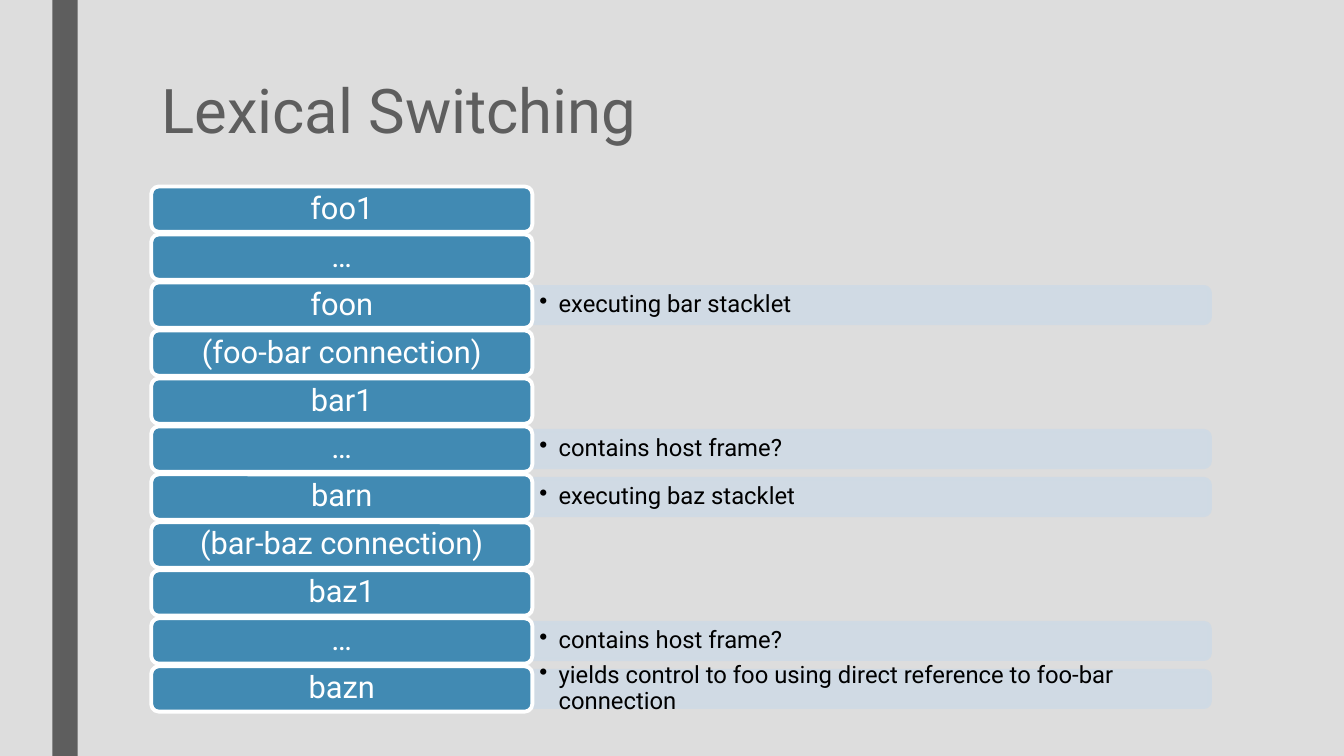
"""Build the Lexical Switching slide: a stack of frames with notes beside them."""
from lxml import etree
from pptx import Presentation
from pptx.dml.color import RGBColor
from pptx.enum.shapes import MSO_SHAPE
from pptx.enum.text import MSO_ANCHOR, MSO_AUTO_SIZE, PP_ALIGN
from pptx.oxml.ns import qn
from pptx.util import Inches, Pt

RECT, ROUND = MSO_SHAPE.RECTANGLE, MSO_SHAPE.ROUNDED_RECTANGLE
ROUND_TOP = MSO_SHAPE.ROUND_2_SAME_RECTANGLE
TOP, MIDDLE = MSO_ANCHOR.TOP, MSO_ANCHOR.MIDDLE
LEFT, CENTER = PP_ALIGN.LEFT, PP_ALIGN.CENTER
NO_FIT = MSO_AUTO_SIZE.NONE

TITLE = "Lexical Switching"
FRAMES = [
    ("foo1", None),
    ("…", None),
    ("foon", "executing bar stacklet"),
    ("(foo-bar connection)", None),
    ("bar1", None),
    ("…", "contains host frame?"),
    ("barn", "executing baz stacklet"),
    ("(bar-baz connection)", None),
    ("baz1", None),
    ("…", "contains host frame?"),
    ("bazn", "yields control to foo using direct reference to foo-bar connection"),
]
GREY, BLUE, PALE, WHITE, BLACK = "5E5E5E", "418AB3", "CFDAE5", "FFFFFF", "000000"
BACKGROUND = "DDDDDD"
FONT = "Roboto"
FRAME_X, FRAME_W, FRAME_H = 1.5, 3.78, 0.45
FIRST_Y, LAST_Y = 1.85, 6.61
NOTE_W, NOTE_H, NOTE_TEXT_W, NOTE_TEXT_H = 6.72, 0.36, 6.7, 0.33
LINE_W = 2.75
ALPHA = "90000"

TITLE_STYLE = dict(size=44, color=GREY, align=LEFT, anchor=TOP, spacing=0.89, inset=(0.1, 0.05))
FRAME_STYLE = dict(size=22, color=WHITE, align=CENTER, anchor=MIDDLE, spacing=0.9, inset=(0.11, 0.07))
NOTE_STYLE = dict(size=17, color=BLACK, align=LEFT, anchor=MIDDLE, spacing=0.9, inset=(0.07, 0.04))


def rgb(value):
    return RGBColor.from_string(value)


def add_box(s, kind, x, y, w, h, fill, line=None):
    sp = s.shapes.add_shape(kind, Inches(x), Inches(y), Inches(w), Inches(h))
    sp.shadow.inherit = False
    sp.fill.solid()
    sp.fill.fore_color.rgb = rgb(fill)
    if line:
        sp.line.color.rgb = rgb(line)
        sp.line.width = Pt(LINE_W)
    else:
        sp.line.fill.background()
    return sp


def write(sp, text, style, bullet=False):
    tf = sp.text_frame
    side, end = (Inches(v) for v in style["inset"])
    frame_format = dict(word_wrap=True, auto_size=NO_FIT, vertical_anchor=style["anchor"],
                        margin_left=side, margin_right=side, margin_top=end, margin_bottom=end)
    for name, value in frame_format.items():
        setattr(tf, name, value)
    p = tf.paragraphs[0]
    p.alignment = style["align"]
    p.line_spacing = style["spacing"]
    if bullet:
        pPr = p._p.get_or_add_pPr()
        pPr.set("marL", str(Inches(0.19)))
        pPr.set("indent", str(-Inches(0.19)))
        etree.SubElement(pPr, qn("a:buChar"), char="•")
    r = p.add_run()
    r.text = text
    for name, value in dict(name=FONT, size=Pt(style["size"])).items():
        setattr(r.font, name, value)
    r.font.color.rgb = rgb(style["color"])


def add_note(s, text, center_y):
    x = FRAME_X + FRAME_W
    bar = add_box(s, ROUND_TOP, x + (NOTE_W - NOTE_H) / 2, center_y - NOTE_W / 2,
                  NOTE_H, NOTE_W, PALE, PALE)
    bar.rotation = 90
    for color in bar._element.spPr.iter(qn("a:srgbClr")):
        etree.SubElement(color, qn("a:alpha"), val=ALPHA)
    sp = s.shapes.add_textbox(Inches(x), Inches(center_y - NOTE_TEXT_H / 2),
                              Inches(NOTE_TEXT_W), Inches(NOTE_TEXT_H))
    write(sp, text, NOTE_STYLE, bullet=True)


def main():
    prs = Presentation()
    prs.slide_width, prs.slide_height = Inches(13.33), Inches(7.5)
    s = prs.slides.add_slide(prs.slide_layouts[5])
    s.background.fill.solid()
    s.background.fill.fore_color.rgb = rgb(BACKGROUND)
    add_box(s, RECT, 0.52, 0, 0.25, 7.5, GREY)

    title = s.shapes.title
    title.left, title.top, title.width, title.height = map(Inches, (1.5, 0.75, 10.5, 1.62))
    write(title, TITLE, TITLE_STYLE)

    step = (LAST_Y - FIRST_Y) / (len(FRAMES) - 1)
    for i, (label, note) in enumerate(FRAMES):
        y = FIRST_Y + i * step
        if note:
            add_note(s, note, y + FRAME_H / 2)
        write(add_box(s, ROUND, FRAME_X, y, FRAME_W, FRAME_H, BLUE, WHITE), label, FRAME_STYLE)

    prs.save("out.pptx")


if __name__ == "__main__":
    main()
